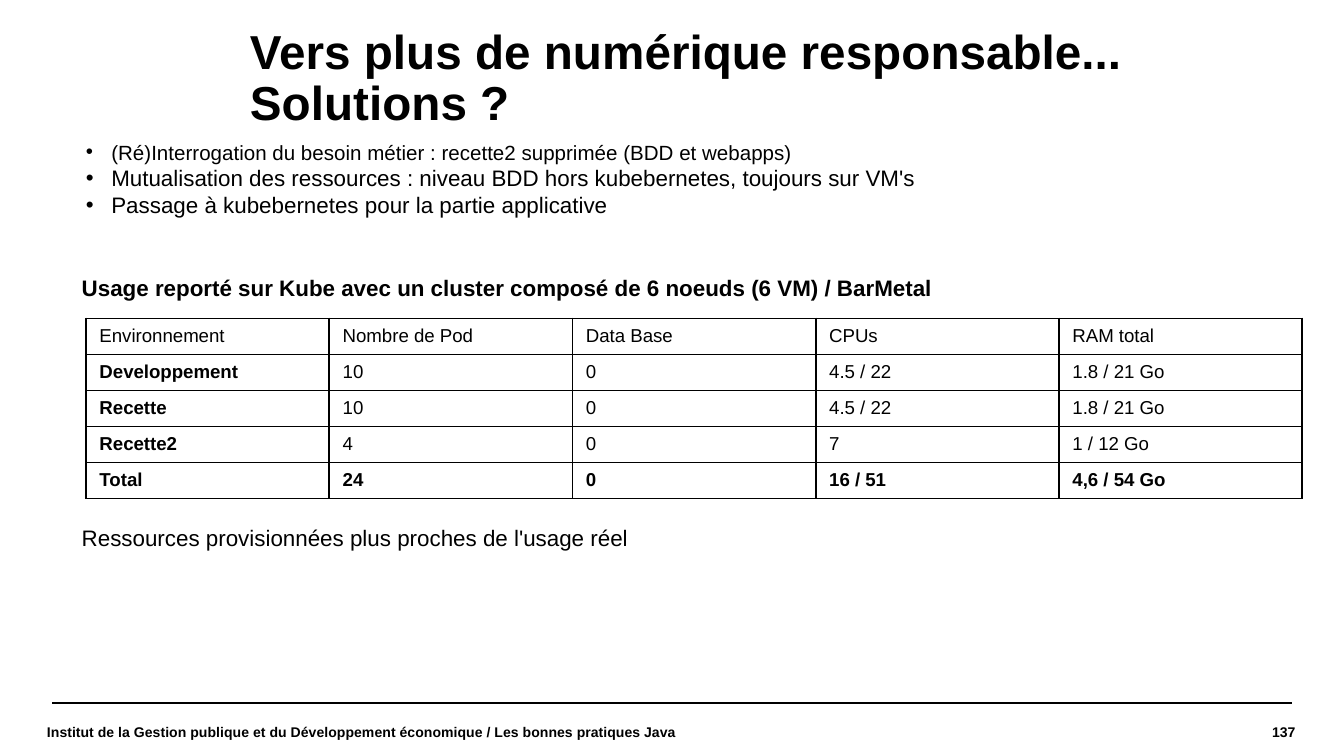
from dataclasses import dataclass

from lxml.etree import SubElement
from pptx import Presentation
from pptx.dml.color import RGBColor
from pptx.enum.shapes import MSO_CONNECTOR
from pptx.enum.text import MSO_ANCHOR as Anchor, PP_ALIGN as Align
from pptx.oxml.ns import qn
from pptx.util import Inches, Pt

COLORS = {"ink": "000000"}
FONT = "Arial"
SLIDE_WIDTH = Inches(10)
SLIDE_HEIGHT = SLIDE_WIDTH * 9 // 16
INDENT = Inches(0.19)
BORDER_WIDTH = Pt(0.96)


@dataclass
class Label:
    lines: list[str]
    left: float
    top: float
    width: float
    height: float
    sizes: list[float]
    bold: bool = False
    padded: bool = True
    bulleted: bool = False
    anchor: Anchor = Anchor.TOP
    align: Align = Align.LEFT
    line_spacing: float = 1.0


LABELS = [
    Label(["Vers plus de numérique responsable... Solutions ?"], 1.86, 0.21, 7.99, 0.4,
          [25.5], bold=True, padded=False, line_spacing=0.9),
    Label(["137"], 8.17, 5.25, 1.47, 0.39, [7.5], bold=True, padded=False,
          anchor=Anchor.MIDDLE, align=Align.RIGHT),
    Label(["Institut de la Gestion publique et du Développement économique / "
           "Les bonnes pratiques Java"], 0.35, 5.25, 4.84, 0.39, [7.5],
          bold=True, padded=False, anchor=Anchor.MIDDLE),
    Label(["(Ré)Interrogation du besoin métier : recette2 supprimée (BDD et webapps)",
           "Mutualisation des ressources : niveau BDD hors kubebernetes, toujours sur VM's",
           "Passage à kubebernetes pour la partie applicative"],
          0.54, 0.99, 8.43, 0.86, [11, 12, 12], bulleted=True),
    Label(["Usage reporté sur Kube avec un cluster composé de 6 noeuds (6 VM) / BarMetal"],
          0.51, 1.99, 8.67, 0.5, [12], bold=True),
    Label(["Ressources provisionnées plus proches de l'usage réel"],
          0.51, 3.85, 4.33, 0.3, [12]),
]

USAGE = [
    ["Environnement", "Nombre de Pod", "Data Base", "CPUs", "RAM total"],
    ["Developpement", "10", "0", "4.5 / 22", "1.8 / 21 Go"],
    ["Recette", "10", "0", "4.5 / 22", "1.8 / 21 Go"],
    ["Recette2", "4", "0", "7", "1 / 12 Go"],
    ["Total", "24", "0", "16 / 51", "4,6 / 54 Go"],
]


def style_runs(paragraph, size: float, bold: bool) -> None:
    for run in paragraph.runs:
        run.font.name = FONT
        run.font.size = Pt(size)
        run.font.bold = bold
        run.font.color.rgb = RGBColor.from_string(COLORS["ink"])


def add_bullet(paragraph) -> None:
    properties = paragraph._p.get_or_add_pPr()
    properties.set("marL", str(INDENT))
    properties.set("indent", str(-INDENT))
    SubElement(properties, qn("a:buFont"), typeface=FONT)
    SubElement(properties, qn("a:buChar"), char="•")


def draw_label(slide, label: Label) -> None:
    box = slide.shapes.add_textbox(Inches(label.left), Inches(label.top),
                                   Inches(label.width), Inches(label.height))
    frame = box.text_frame
    frame.word_wrap = True
    frame.vertical_anchor = label.anchor
    frame.margin_left = frame.margin_right = Inches(0.1 if label.padded else 0)
    frame.margin_top = frame.margin_bottom = Inches(0.05 if label.padded else 0)
    frame.text = "\n".join(label.lines)
    for paragraph, size in zip(frame.paragraphs, label.sizes):
        if label.bulleted:
            add_bullet(paragraph)
        paragraph.alignment = label.align
        paragraph.line_spacing = label.line_spacing
        style_runs(paragraph, size, label.bold)


def add_borders(cell) -> None:
    """Outline the cell; called before the fill, which must follow the lines."""
    properties = cell._tc.get_or_add_tcPr()
    for side in ("a:lnL", "a:lnR", "a:lnT", "a:lnB"):
        line = SubElement(properties, qn(side), w=str(BORDER_WIDTH))
        fill = SubElement(line, qn("a:solidFill"))
        SubElement(fill, qn("a:srgbClr"), val=COLORS["ink"])


def draw_usage_table(slide, rows: list[list[str]]) -> None:
    table = slide.shapes.add_table(len(rows), len(rows[0]), Inches(0.64), Inches(2.37),
                                   Inches(9.05), Inches(1.34)).table
    table.first_row = table.horz_banding = False
    last_row = len(rows) - 1
    for r, values in enumerate(rows):
        for c, value in enumerate(values):
            cell = table.cell(r, c)
            add_borders(cell)
            cell.fill.background()
            cell.vertical_anchor = Anchor.MIDDLE
            cell.margin_left = cell.margin_right = Inches(0.1)
            cell.margin_top = cell.margin_bottom = Inches(0.05)
            cell.text_frame.text = value
            is_bold = r == last_row or (c == 0 and r > 0)
            style_runs(cell.text_frame.paragraphs[0], 10, is_bold)


def draw_footer_rule(slide) -> None:
    rule = slide.shapes.add_connector(MSO_CONNECTOR.STRAIGHT, Inches(0.39), Inches(5.23),
                                      Inches(9.61), Inches(5.23))
    rule.line.color.rgb = RGBColor.from_string(COLORS["ink"])
    rule.line.width = Pt(0.8)
    SubElement(rule._element.spPr, qn("a:effectLst"))


def main() -> None:
    deck = Presentation()
    deck.slide_width, deck.slide_height = SLIDE_WIDTH, SLIDE_HEIGHT
    slide = deck.slides.add_slide(deck.slide_layouts[6])
    draw_footer_rule(slide)
    for label in LABELS:
        draw_label(slide, label)
    draw_usage_table(slide, USAGE)
    deck.save("out.pptx")


if __name__ == "__main__":
    main()
